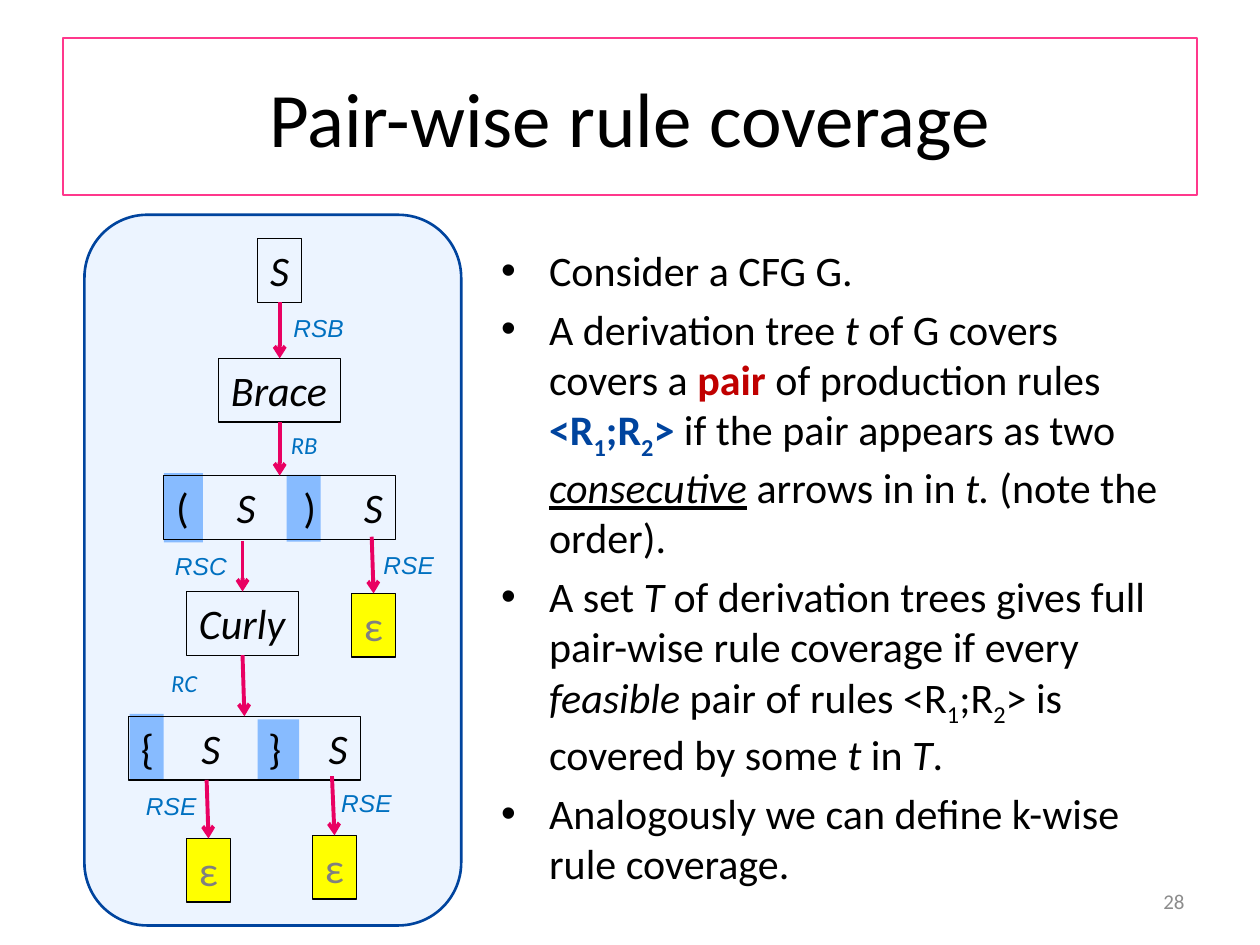
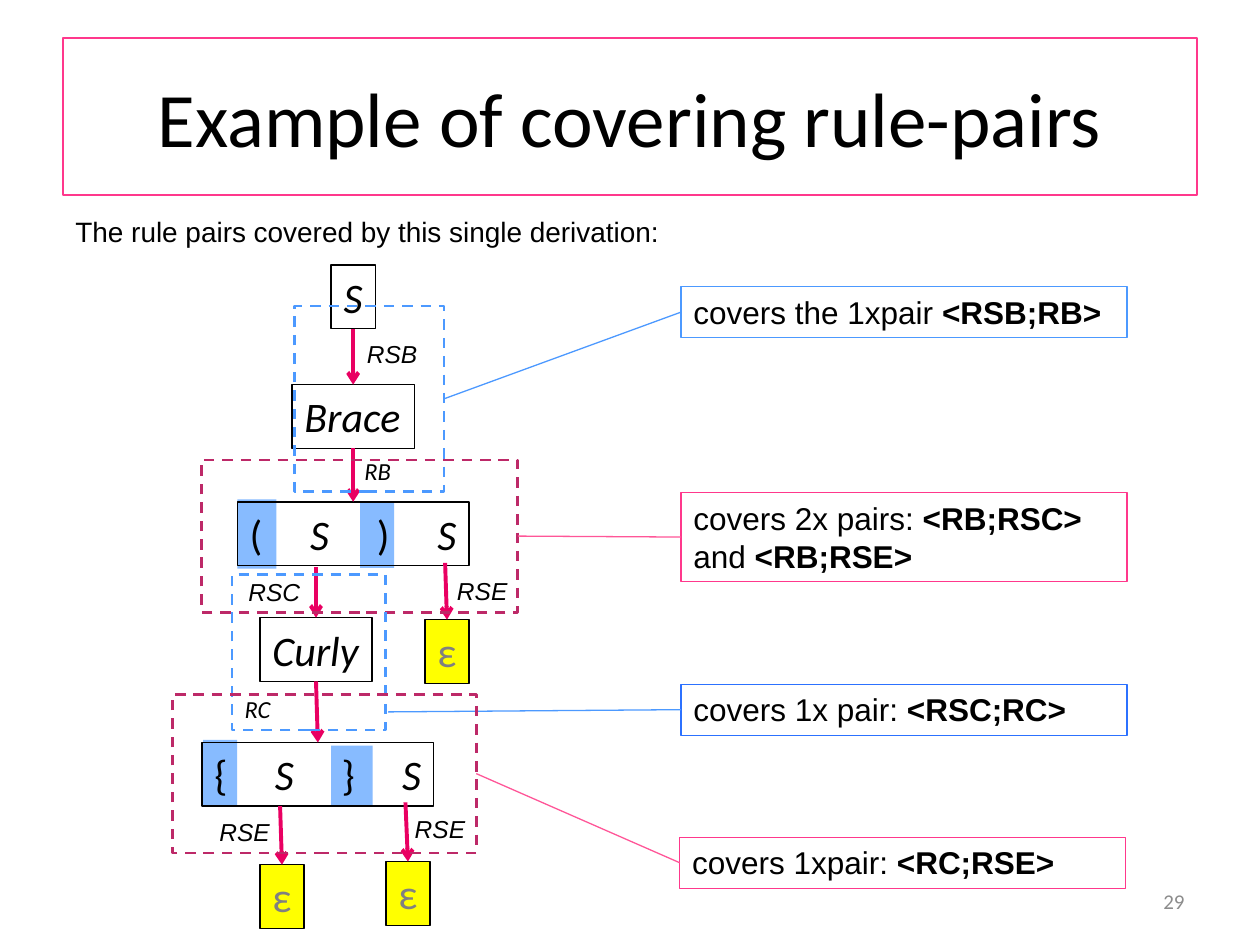
from lxml.etree import SubElement
from pptx import Presentation
from pptx.dml.color import RGBColor
from pptx.enum.dml import MSO_LINE
from pptx.enum.shapes import MSO_CONNECTOR, MSO_SHAPE
from pptx.enum.text import MSO_ANCHOR, PP_ALIGN
from pptx.oxml.ns import qn
from pptx.util import Inches, Pt

colour = RGBColor.from_string
BLACK, NAVY, RED, GREY = "000000", "00449E", "C00000", "8C8C8C"
PINK, ROSE, PLUM, ARROW = "FF388C", "FF5698", "BD2968", "E90062"
SKY, TOKEN, YELLOW, RULE_BLUE = "4C99FF", "87BBFF", "FFFF00", "0070C0"

deck = Presentation()
deck.slide_width, deck.slide_height = Inches(10), Inches(7.5)
column, row = deck.slide_width / 100, deck.slide_height / 75


def box(slide, area, paragraphs=(), size=24, font="Calibri", ink=BLACK, fill=None, line=None,
        width=0.75, dash=None, outline=MSO_SHAPE.RECTANGLE, wrap=False,
        align=PP_ALIGN.LEFT, anchor=MSO_ANCHOR.TOP, bullet=None, tabs=()):
    x, y, w, h = area
    place = [round(v) for v in (x * column, y * row, w * column, h * row)]
    if fill or line:
        shape = slide.shapes.add_shape(outline, *place)
        shape.shadow.inherit = False
        if fill:
            shape.fill.solid()
            shape.fill.fore_color.rgb = colour(fill)
        else:
            shape.fill.background()
        if line:
            shape.line.color.rgb = colour(line)
            shape.line.width = Pt(width)
            if dash:
                shape.line.dash_style = dash
        else:
            shape.line.fill.background()
    else:
        shape = slide.shapes.add_textbox(*place)
    frame = shape.text_frame
    frame.word_wrap, frame.vertical_anchor = wrap, anchor
    if tabs:
        frame.margin_right = 0
    for index, runs in enumerate(paragraphs):
        paragraph = frame.add_paragraph() if index else frame.paragraphs[0]
        paragraph.alignment = align
        properties = paragraph._p.get_or_add_pPr()
        if bullet:
            properties.set("marL", str(Inches(0.38)))
            properties.set("indent", str(-Inches(0.38)))
            SubElement(properties, qn("a:buFont"), typeface="Arial")
            SubElement(properties, qn("a:buChar"), char=bullet)
            if index:
                paragraph.space_before = Pt(4.8)
        if tabs:
            stops = SubElement(properties, qn("a:tabLst"))
            for stop in tabs:
                SubElement(stops, qn("a:tab"), pos=str(round(stop * column)), algn="l")
        paragraph.font.size, paragraph.font.name = Pt(size), font
        paragraph.font.color.rgb = colour(ink)
        for text, style, *accent in runs:
            run = paragraph.add_run()
            run.text = text
            styled = paragraph.font if len(runs) == 1 else run.font
            if "b" in style:
                styled.bold = True
            if "i" in style:
                styled.italic = True
            if "u" in style:
                styled.underline = True
            if "_" in style:
                run._r.get_or_add_rPr().set("baseline", "-25000")
            if accent:
                run.font.color.rgb = colour(accent[0])
    return shape


def link(slide, ends, ink, width, source=None, target=None, sides=(2, 0), arrow=False):
    x1, y1, x2, y2 = ends
    connector = slide.shapes.add_connector(
        MSO_CONNECTOR.STRAIGHT, round(x1 * column), round(y1 * row),
        round(x2 * column), round(y2 * row))
    connector.line.color.rgb = colour(ink)
    connector.line.width = Pt(width)
    if arrow:
        SubElement(connector.line._get_or_add_ln(), qn("a:tailEnd"), type="arrow")
    SubElement(connector._element.spPr, qn("a:effectLst"))
    if source:
        connector.begin_connect(source, sides[0])
    if target:
        connector.end_connect(target, sides[1])


token_marks = [(13, 37.55, 3.1, 5.5), (22.75, 37.7, 2.7, 5.3),
               (10.3, 56.65, 2.7, 5.2), (20.45, 57.1, 3.3, 4.8)]
symbols = {
    "start": ("S", 20.45, 18.95, 3.5),
    "brace": ("Brace", 17.35, 28.45, 9.7),
    "curly": ("Curly", 14.8, 46.95, 8.9),
}
productions = {"round": ("(", ")", 13, 37.75), "curled": ("{", "}", 10.2, 56.85)}
epsilons = {"left": (14.8, 66.55), "middle": (24.8, 66.3), "right": (27.9, 47.1)}
derivations = [
    ("start", "brace", (22.2, 24, 22.2, 28.45)),
    ("brace", "round", (22.2, 33.5, 22.2, 37.75)),
    (None, "curly", (19.25, 42.95, 19.25, 46.95)),
    ("curly", "curled", (19.25, 52, 19.4, 56.85)),
    (None, "left", (16.4, 61.9, 16.55, 66.55)),
    (None, "middle", (26.35, 61.6, 26.55, 66.3)),
    (None, "right", (29.5, 42.6, 29.65, 47.1)),
]
rules = [
    ("RSE", 29.45, 43.15, 6.1, "Arial"), ("RSE", 26.1, 62.05, 6.1, "Arial"),
    ("RSE", 10.6, 62.25, 6.1, "Arial"), ("RB", 22.1, 33.65, 4.2, "Calibri"),
    ("RC", 12.6, 52.5, 4.1, "Calibri"), ("RSB", 22.3, 24.35, 6.1, "Arial"),
    ("RSC", 12.9, 43.25, 6.2, "Arial"),
]

pages = []
for title, number, dx, dy, rule_ink in [
        ("Pair-wise rule coverage", "28", 0, 0, RULE_BLUE),
        ("Example of covering rule-pairs", "29", 5.83, 2.08, BLACK)]:
    slide = deck.slides.add_slide(deck.slide_layouts[6])
    pages.append(slide)
    box(slide, (5, 3, 90, 12.5), [[(title, "")]], size=44, line=PINK, width=1, wrap=True,
        align=PP_ALIGN.CENTER, anchor=MSO_ANCHOR.MIDDLE)
    box(slide, (71.7, 69.5, 23.3, 4), [[(number, "")]], size=12, ink=GREY, wrap=True,
        align=PP_ALIGN.RIGHT, anchor=MSO_ANCHOR.MIDDLE)
    if slide is pages[0]:
        panel = box(slide, (6.7, 17.05, 29.9, 56.4), fill="C3DDFF", line=NAVY, width=1.5,
                    outline=MSO_SHAPE.ROUNDED_RECTANGLE)
        SubElement(panel._element.spPr.find(qn("a:solidFill"))[0], qn("a:alpha"), val="31000")

    for x, y, w, h in token_marks:
        box(slide, (x + dx, y + dy, w, h), fill=TOKEN)
    nodes = {}
    for key, (name, x, y, w) in symbols.items():
        nodes[key] = box(slide, (x + dx, y + dy, w, 5.05), [[(name, "i")]], line=BLACK)
    for key, (opening, closing, x, y) in productions.items():
        nodes[key] = box(slide, (x + dx, y + dy, 18.4, 5.05),
                         [[(opening, ""), ("\tS\t", "i"), (closing, ""), ("\tS", "i")]],
                         line=BLACK, wrap=True, tabs=(4.8, 10.1, 14.9))
    for key, (x, y) in epsilons.items():
        nodes[key] = box(slide, (x + dx, y + dy, 3.5, 5.05), [[("ε", "")]],
                         ink="808080", fill=YELLOW, line=BLACK)
    for source, target, (x1, y1, x2, y2) in derivations:
        link(slide, (x1 + dx, y1 + dy, x2 + dx, y2 + dy), ARROW, 2.25,
             nodes.get(source), nodes[target], arrow=True)
    for name, x, y, w, font in rules:
        box(slide, (x + dx, y + dy, w, 3.4), [[(name, "i")]], size=14, font=font, ink=rule_ink)

definition, example = pages

box(definition, (38.8, 18.9, 55, 49.9), [
    [("Consider a CFG G.", "")],
    [("A derivation tree ", ""), ("t", "i"), (" of G covers covers a ", ""),
     ("pair ", "b", RED), ("of production rules ", ""), ("<R", "b", NAVY),
     ("1", "b_", NAVY), (";R", "b", NAVY), ("2", "b_", NAVY), ("> ", "b", NAVY),
     ("if the pair appears as two ", ""), ("consecutive", "iu"),
     (" arrows in in ", ""), ("t. ", "i"), ("(note the order).", "")],
    [("A set ", ""), ("T", "i"),
     (" of derivation trees gives full pair-wise rule coverage if every ", ""),
     ("feasible ", "i"), ("pair of rules <R", ""), ("1", "_"), (";R", ""), ("2", "_"),
     ("> is covered by some ", ""), ("t", "i"), (" in ", ""), ("T", "i"), (".", "")],
    [("Analogously we can define k-wise rule coverage.", "")],
], wrap=True, bullet="•")

box(example, (5, 16.55, 48.9, 3.7),
    [[("The rule pairs covered by this single derivation:", "")]], size=16, font="Arial")
coverages = [
    ([("covers the 1xpair ", ""), ("<RSB;RB>", "b")], (54.05, 22.75, 35.4, 4.05), SKY,
     (23.35, 24.3, 11.9, 14.7), SKY, SKY, (35.25, 31.65, 54.05, 24.8), True),
    ([("covers 2x pairs: ", ""), ("<RB;RSC> ", "b"), ("and ", ""), ("<RB;RSE>", "b")],
     (54.05, 39.1, 35.4, 7.05), PINK,
     (16, 36.5, 25.1, 12.1), PLUM, ROSE, (41.1, 42.55, 54.05, 42.6), True),
    ([("covers 1x pair: ", ""), ("<RSC;RC>", "b")], (54.05, 54.3, 35.4, 4.05), "2C71FF",
     (18.4, 45.6, 12.2, 12.35), SKY, SKY, (30.8, 56.5, 54.05, 56.35), False),
    ([("covers 1xpair: ", ""), ("<RC;RSE>", "b")], (53.95, 66.45, 35.4, 4.05), PINK,
     (13.7, 55.1, 24.1, 12.6), PLUM, ROSE, (37.8, 61.4, 53.95, 68.5), True),
]
for wording, callout_area, callout_ink, pair_area, pair_ink, lead_ink, ends, joined in coverages:
    callout = box(example, callout_area, [wording], size=18, font="Arial",
                  line=callout_ink, wrap=True)
    pair = box(example, pair_area, line=pair_ink, width=1.5, dash=MSO_LINE.DASH)
    link(example, ends, lead_ink, 0.75, pair if joined else None, callout, sides=(3, 1))

deck.save("out.pptx")
